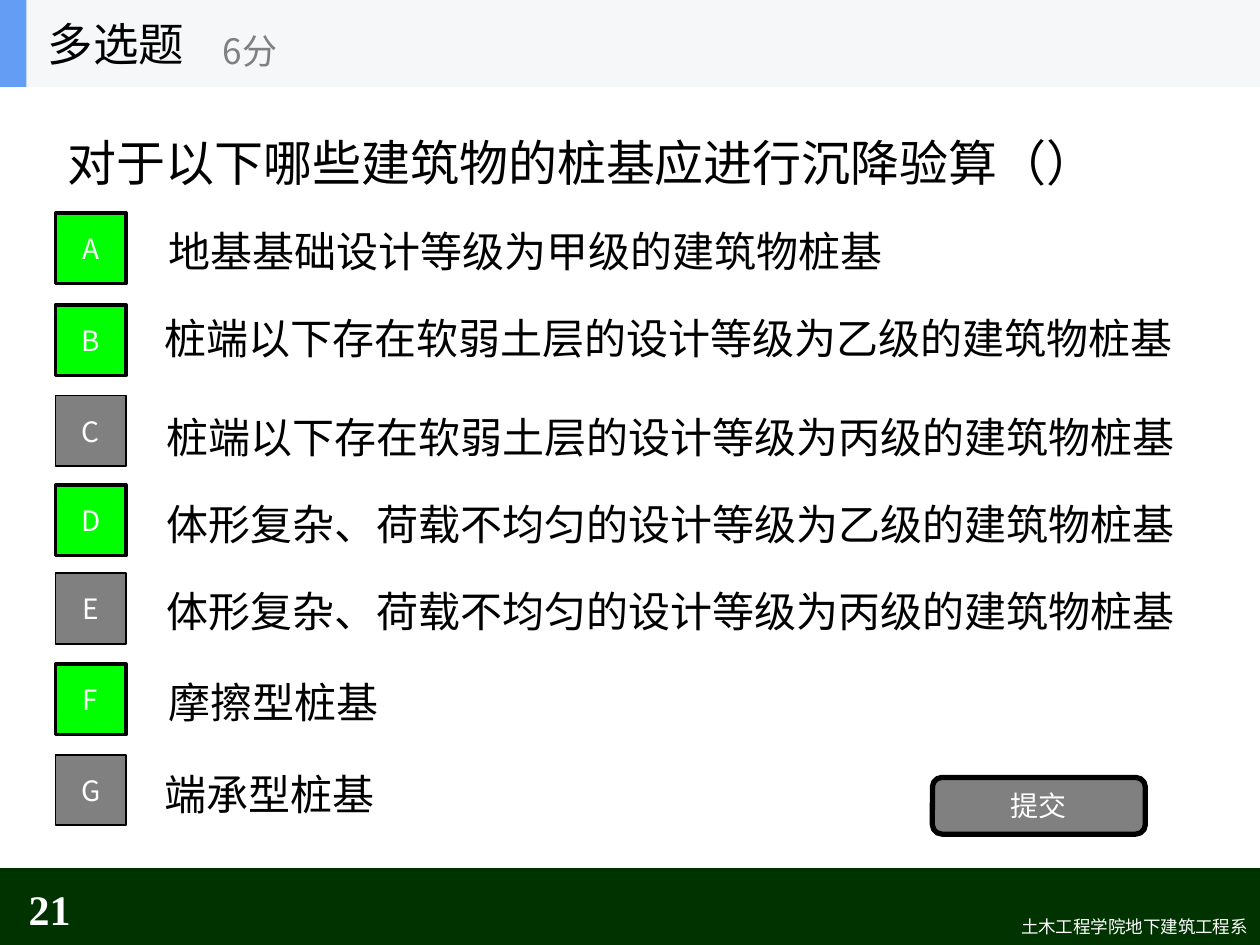
from pptx import Presentation
from pptx.dml.color import RGBColor
from pptx.enum.shapes import MSO_SHAPE
from pptx.enum.text import MSO_ANCHOR, PP_ALIGN
from pptx.oxml.ns import qn
from pptx.util import Inches, Pt
from lxml import etree

RECT, ROUNDED = MSO_SHAPE.RECTANGLE, MSO_SHAPE.ROUNDED_RECTANGLE
LEFT, CENTER, RIGHT = PP_ALIGN.LEFT, PP_ALIGN.CENTER, PP_ALIGN.RIGHT
TOP, MIDDLE = MSO_ANCHOR.TOP, MSO_ANCHOR.MIDDLE

BLACK = RGBColor(0x00, 0x00, 0x00)
WHITE = RGBColor(0xFF, 0xFF, 0xFF)
GRAY = RGBColor(0x80, 0x80, 0x80)
CORRECT_GREEN = RGBColor(0x00, 0xFF, 0x00)
FOOTER_GREEN = RGBColor(0x00, 0x33, 0x00)
HEADER_GRAY = RGBColor(0xF6, 0xF7, 0xF8)
ACCENT_BLUE = RGBColor(0x63, 0x9E, 0xF4)

SANS = "Noto Sans CJK SC"
SERIF = "Times New Roman"

# letter, correct, badge top, text left, text top, text width, text
OPTIONS = [
    ("A", True, 1.69, 1.24, 1.64, 5.93, "地基基础设计等级为甲级的建筑物桩基"),
    ("B", True, 2.42, 1.21, 2.33, 8.36, "桩端以下存在软弱土层的设计等级为乙级的建筑物桩基"),
    ("C", False, 3.14, 1.22, 3.12, 8.35, "桩端以下存在软弱土层的设计等级为丙级的建筑物桩基"),
    ("D", True, 3.85, 1.22, 3.81, 8.35, "体形复杂、荷载不均匀的设计等级为乙级的建筑物桩基"),
    ("E", False, 4.55, 1.22, 4.5, 8.35, "体形复杂、荷载不均匀的设计等级为丙级的建筑物桩基"),
    ("F", True, 5.27, 1.24, 5.22, 3.67, "摩擦型桩基"),
    ("G", False, 5.99, 1.21, 5.95, 2.8, "端承型桩基"),
]


def write(shape, text, size, color, font=SANS, align=LEFT, anchor=MIDDLE, bold=False):
    frame = shape.text_frame
    frame.text = text
    frame.vertical_anchor = anchor
    paragraph = frame.paragraphs[0]
    paragraph.alignment = align
    run = paragraph.runs[0]
    run.font.name = font
    run.font.size = Pt(size)
    run.font.bold = bold
    run.font.color.rgb = color
    east_asian = etree.SubElement(run.font._element, qn("a:ea"))
    east_asian.set("typeface", SANS)


def add_label(slide, box, text, size, color=BLACK, wrap=True, **style):
    label = slide.shapes.add_textbox(*map(Inches, box))
    label.text_frame.word_wrap = wrap
    write(label, text, size, color, **style)


def add_block(slide, box, fill, kind=RECT, border=0):
    block = slide.shapes.add_shape(kind, *map(Inches, box))
    block.shadow.inherit = False
    block.fill.solid()
    block.fill.fore_color.rgb = fill
    if border:
        block.line.color.rgb = BLACK
        block.line.width = Pt(border)
    else:
        block.line.fill.background()
    return block


def add_option(slide, letter, correct, badge_top, left, top, width, text):
    add_label(slide, (left, top, width, 0.7), text, 24, font=SERIF)
    fill, border = (CORRECT_GREEN, 2) if correct else (GRAY, 1)
    badge = add_block(slide, (0.44, badge_top, 0.56, 0.56), fill, border=border)
    write(badge, letter, 16, WHITE, align=CENTER)


def add_header(slide):
    add_block(slide, (0, 0, 10, 0.69), HEADER_GRAY)
    add_block(slide, (0, 0, 0.21, 0.69), ACCENT_BLUE)
    add_label(slide, (0.28, 0, 2.08, 0.69), "多选题", 26, wrap=False)
    add_label(slide, (1.67, 0.12, 2.5, 0.56), "6分", 20, GRAY, wrap=False)


def add_footer(slide):
    add_block(slide, (0, 6.89, 10, 0.64), FOOTER_GREEN)
    add_label(slide, (4.21, 7.22, 5.79, 0.27), "土木工程学院地下建筑工程系", 10, WHITE,
              align=RIGHT, anchor=TOP)
    add_label(slide, (0, 7.01, 0.66, 0.4), "21", 24, WHITE,
              font=SERIF, align=RIGHT, bold=True)


def main():
    presentation = Presentation()
    presentation.slide_width = Inches(10)
    presentation.slide_height = Inches(7.5)
    slide = presentation.slides.add_slide(presentation.slide_layouts[6])

    add_footer(slide)
    add_label(slide, (0.44, 0.71, 9.56, 1.15),
              "对于以下哪些建筑物的桩基应进行沉降验算（）", 28, font=SERIF)
    for option in OPTIONS:
        add_option(slide, *option)
    submit = add_block(slide, (7.4, 6.17, 1.69, 0.45), GRAY, ROUNDED, border=3)
    write(submit, "提交", 16, WHITE, align=CENTER)
    add_header(slide)

    presentation.save("out.pptx")


if __name__ == "__main__":
    main()
